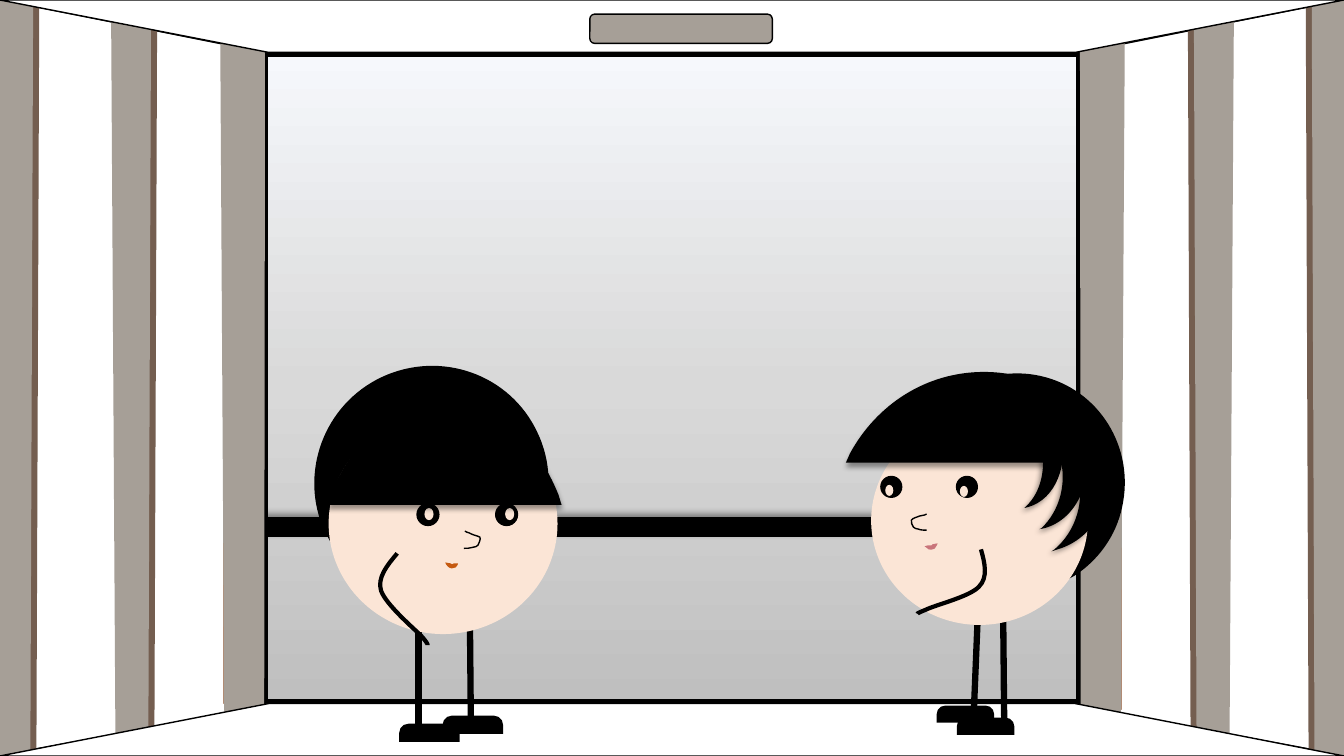
"""Build a cartoon slide of two round people waiting in a lift."""
from copy import deepcopy
from math import cos, radians, sin

from lxml.etree import SubElement
from pptx import Presentation
from pptx.dml.color import RGBColor
from pptx.enum.shapes import MSO_CONNECTOR, MSO_SHAPE
from pptx.oxml.ns import qn
from pptx.util import Inches, Pt

BLACK, WHITE, SKIN = "000000", "FFFFFF", "FBE5D6"
TAUPE, BROWN, TAN = "A69F97", "745E50", "B18B74"
STEEL = [(0, "F6F8FC"), (0.51, "D9D9D9"), (1, "BFBFBF")]
WIDTH, HEIGHT = 13.33, 7.5
MIRROR = 13.34
CURVE_STEPS = 20


def color(value):
    return RGBColor.from_string(value)


def rotate(x, y, degrees):
    angle = radians(degrees)
    return x * cos(angle) - y * sin(angle), x * sin(angle) + y * cos(angle)


def bounds(steps):
    """Return the top left and bottom right corners of lines and cubic curves."""
    points = [steps[0][0]]
    for step in steps[1:]:
        if len(step) == 1:
            points += step
            continue
        pairs = [points[-1]] + step
        for index in range(1, CURVE_STEPS + 1):
            t = index / CURVE_STEPS
            weights = ((1 - t) ** 3, 3 * t * (1 - t) ** 2, 3 * t * t * (1 - t), t ** 3)
            points.append(tuple(sum(w * pair[axis] for w, pair in zip(weights, pairs))
                                for axis in (0, 1)))
    return [tuple(int(pick(axis)) for axis in zip(*points)) for pick in (min, max)]


class Scene:
    """Draws styled elements on the current slide or group."""

    def __init__(self, page):
        self.page = page
        self.shapes = page.shapes

    def group(self):
        self.shapes = self.page.shapes.add_group_shape().shapes

    def ungroup(self):
        self.shapes = self.page.shapes

    def stroke(self, shape, line, width):
        if line is None:
            shape.line.fill.background()
            return
        shape.line.color.rgb = color(line)
        shape.line.width = Pt(width)

    def effects(self, shape, shadow):
        effects = SubElement(shape._element.spPr, qn("a:effectLst"))
        if shadow is None:
            return
        values = {"blurRad": Pt(4), "dist": Pt(3), "dir": shadow * 60000,
                  "algn": "ctr", "rotWithShape": 0}
        outer = SubElement(effects, qn("a:outerShdw"))
        for name, value in values.items():
            outer.set(name, str(value))
        tint = SubElement(outer, qn("a:srgbClr"), val=BLACK)
        SubElement(tint, qn("a:alpha"), val="40000")

    def paint(self, shape, fill, line, width, shadow):
        if fill is None:
            shape.fill.background()
        elif isinstance(fill, list):
            self.gradient(shape, fill)
        else:
            shape.fill.solid()
            shape.fill.fore_color.rgb = color(fill)
        self.stroke(shape, line, width)
        self.effects(shape, shadow)
        return shape

    def gradient(self, shape, stops):
        shape.fill.gradient()
        shape.fill.gradient_angle = 270
        holder = shape._element.spPr.find(".//" + qn("a:gsLst"))
        holder.append(deepcopy(holder[-1]))
        for stop, (position, value) in zip(shape.fill.gradient_stops, stops):
            stop.color.rgb = color(value)
            stop.position = position

    def preset(self, kind, box, fill, line=None, width=1):
        shape = self.shapes.add_shape(kind, *map(Inches, box))
        return self.paint(shape, fill, line, width, None)

    def line(self, start, end, width, shadow=None):
        connector = self.shapes.add_connector(
            MSO_CONNECTOR.STRAIGHT, *map(Inches, start + end))
        self.stroke(connector, BLACK, width)
        self.effects(connector, shadow)

    def outline(self, start, segments, fill=None, line=None, width=1, turn=0, shadow=None):
        """Draw lines (2 numbers) and curves (6 numbers) in a frame turned by some degrees."""
        steps = [[tuple(map(Inches, rotate(x, y, -turn))) for x, y in zip(step[::2], step[1::2])]
                 for step in [start] + segments]
        first, last = bounds(steps)
        builder = self.shapes.build_freeform(*first, scale=1.0)
        builder.add_line_segments([last], close=False)
        shape = builder.convert_to_shape()
        route = shape._element.spPr.find(".//" + qn("a:path"))
        for child in list(route):
            route.remove(child)
        for index, step in enumerate(steps):
            tag = "a:moveTo" if index == 0 else "a:lnTo" if len(step) == 1 else "a:cubicBezTo"
            command = SubElement(route, qn(tag))
            for x, y in step:
                SubElement(command, qn("a:pt"), x=str(x - first[0]), y=str(y - first[1]))
        if fill is not None:
            SubElement(route, qn("a:close"))
        middle = rotate(shape.left + shape.width / 2, shape.top + shape.height / 2, turn)
        frame = {"left": int(middle[0] - shape.width / 2),
                 "top": int(middle[1] - shape.height / 2), "rotation": turn}
        for name, value in frame.items():
            setattr(shape, name, value)
        self.paint(shape, fill, line, width, shadow)

    def polygon(self, points, fill, line=None, mirrored=False, shift=(0, 0)):
        moved = [(x + shift[0], y + shift[1]) for x, y in points]
        if mirrored:
            moved = [(MIRROR - x, y) for x, y in moved]
        self.outline(moved[0], moved[1:], fill, line)

    def panels(self, mirrored, drop):
        """Draw the striped panels of one side wall."""
        brown = [(-0.03, -0.16), (0.39, -0.21), (0.36, 7.76), (0.03, 8.02)]
        taupe = [(-0.07, -0.17), (0.33, -0.22), (0.3, 7.94), (-0.02, 8.21)]
        corner = [(2.18, -0.37), (2.63, -0.83), (2.62, 7.71), (2.23, 8.02)]
        self.group()
        left = MIRROR - 2.6 if mirrored else 2.22
        self.preset(MSO_SHAPE.RECTANGLE, (left, 0.53 + drop, 0.38, 6.45), WHITE, TAN)
        for index in range(2):
            shift = (1.17 * index, drop - 0.08 * index)
            for points, fill in ((brown, BROWN), (taupe, TAUPE)):
                self.polygon(points, fill, None, mirrored, shift)
            if index == 0:
                self.polygon(corner, TAUPE, None, mirrored, shift)
        self.ungroup()

    def person(self, hair, legs, shoes, shoe_size, face, eyes, eye_size, pupils, pupil_size,
               arm, nose, mouth, fringe, locks=()):
        self.group()
        self.outline(*hair[:2], fill=BLACK, turn=hair[2])
        self.line(*legs[0], 4.5)
        for corner in shoes:
            shoe = self.preset(MSO_SHAPE.ROUND_2_SAME_RECTANGLE, corner + shoe_size, BLACK)
            shoe.adjustments[0] = 0.5
        self.line(*legs[1], 4.5)
        rounds = [(face, SKIN)]
        rounds += [(corner + (eye_size, eye_size), BLACK) for corner in eyes]
        rounds += [(corner + pupil_size, SKIN) for corner in pupils]
        for box, fill in rounds:
            self.preset(MSO_SHAPE.OVAL, box, fill)
        self.outline(*arm[:2], line=BLACK, width=3, turn=arm[2])
        self.outline(*nose, line=BLACK)
        self.outline(*mouth[:2], fill=mouth[2], turn=mouth[3])
        self.outline(*fringe, fill=BLACK, shadow=90)
        for start, segments in locks:
            self.outline(start, segments, fill=BLACK, turn=343.6, shadow=135)
        self.ungroup()


RIGHT_PERSON = dict(
    hair=((10.32, 3.73), [(9.74, 3.6, 9.16, 3.98, 9.03, 4.57), (9.03, 4.6, 9.02, 4.64, 9.02, 4.68), (9.04, 4.67), (9.25, 4.56, 9.51, 4.52, 9.76, 4.57), (10.27, 4.69, 10.61, 5.14, 10.6, 5.65), (10.59, 5.75), (10.66, 5.71), (10.89, 5.56, 11.07, 5.32, 11.13, 5.03), (11.26, 4.44, 10.9, 3.86, 10.32, 3.73)], 12.3),
    legs=[((9.95, 6.14), (9.96, 7.16)), ((9.7, 6.05), (9.66, 7.03))],
    shoes=[(9.29, 7), (9.49, 7.12)], shoe_size=(0.57, 0.17),
    face=(8.64, 4.13, 2.15, 2.07),
    eyes=[(9.48, 4.72), (8.73, 4.72)], eye_size=0.22,
    pupils=[(9.52, 4.82), (8.78, 4.81)], pupil_size=(0.08, 0.11),
    arm=((9.73, 5.45), [(9.77, 5.59, 9.8, 5.73, 9.71, 5.82), (9.62, 5.92, 9.28, 6, 9.18, 6.05), (9.08, 6.09, 9.1, 6.09, 9.1, 6.09)], 14.8),
    nose=((9.19, 5.1), [(9.18, 5.1, 9.18, 5.1, 9.17, 5.11), (9.15, 5.11, 9.14, 5.12, 9.12, 5.12), (9.1, 5.13, 9.05, 5.14, 9.04, 5.16), (9.03, 5.18, 9.05, 5.21, 9.06, 5.23), (9.07, 5.24, 9.09, 5.25, 9.11, 5.25), (9.13, 5.26, 9.17, 5.26, 9.19, 5.26)]),
    mouth=((9.3, 5.39), [(9.29, 5.39, 9.26, 5.4, 9.25, 5.4), (9.24, 5.41), (9.23, 5.41), (9.22, 5.41, 9.18, 5.41, 9.17, 5.42), (9.17, 5.42, 9.2, 5.44, 9.21, 5.45), (9.22, 5.45, 9.25, 5.46, 9.25, 5.45), (9.26, 5.45, 9.28, 5.44, 9.28, 5.43), (9.29, 5.42, 9.3, 5.39, 9.3, 5.39)], "C9757B", 341.8),
    fringe=((9.76, 3.69), [(10.33, 3.69, 10.83, 4.02, 11.09, 4.5), (11.13, 4.59), (8.39, 4.59), (8.43, 4.5), (8.69, 4.02, 9.18, 3.69, 9.76, 3.69)]),
    locks=[
        ((10.07, 4.05), [(10, 4.07, 9.94, 4.1, 9.88, 4.14), (9.85, 4.17), (9.87, 4.16), (10.22, 4.1, 10.58, 4.32, 10.68, 4.68), (10.77, 4.97, 10.67, 5.27, 10.46, 5.45), (10.43, 5.47), (10.49, 5.45), (10.86, 5.34, 11.07, 4.94, 10.96, 4.55), (10.85, 4.17, 10.45, 3.94, 10.07, 4.05)]),
        ((9.97, 3.92), [(9.91, 3.93, 9.85, 3.96, 9.8, 4), (9.78, 4.02), (9.79, 4.01), (10.1, 3.96, 10.41, 4.18, 10.51, 4.52), (10.59, 4.79, 10.51, 5.07, 10.33, 5.24), (10.31, 5.25), (10.36, 5.24), (10.68, 5.15, 10.85, 4.77, 10.75, 4.41), (10.64, 4.04, 10.29, 3.82, 9.97, 3.92)]),
        ((9.83, 3.79), [(9.78, 3.8, 9.73, 3.83, 9.69, 3.86), (9.67, 3.88), (9.69, 3.87), (9.94, 3.83, 10.22, 4.04, 10.31, 4.36), (10.39, 4.62, 10.33, 4.88, 10.18, 5.02), (10.16, 5.04), (10.2, 5.03), (10.47, 4.95, 10.61, 4.61, 10.51, 4.26), (10.41, 3.92, 10.1, 3.71, 9.83, 3.79)])])

LEFT_PERSON = dict(
    hair=((3.79, 3.74), [(3.21, 4.01, 2.96, 4.7, 3.22, 5.27), (3.24, 5.31, 3.26, 5.34, 3.28, 5.38), (3.3, 5.36), (3.41, 5.12, 3.6, 4.92, 3.85, 4.81), (4.36, 4.57, 4.95, 4.73, 5.27, 5.16), (5.33, 5.25), (5.37, 5.17), (5.47, 4.89, 5.47, 4.58, 5.33, 4.29), (5.06, 3.71, 4.37, 3.47, 3.79, 3.74)], 334.9),
    legs=[((4.66, 6.06), (4.67, 7.14)), ((4.15, 6.06), (4.15, 7.28))],
    shoes=[(3.96, 7.18), (4.39, 7.1)], shoe_size=(0.6, 0.18),
    face=(3.26, 4.1, 2.27, 2.19),
    eyes=[(4.91, 4.99), (4.13, 4.99)], eye_size=0.23,
    pupils=[(5.01, 5.04), (4.21, 5.04)], pupil_size=(0.09, 0.12),
    arm=((3.94, 5.49), [(3.84, 5.61, 3.74, 5.73, 3.78, 5.86), (3.83, 6, 4.1, 6.23, 4.18, 6.31), (4.26, 6.4, 4.24, 6.4, 4.24, 6.4)], 11.1),
    nose=((4.61, 5.27), [(4.61, 5.27, 4.62, 5.27, 4.63, 5.28), (4.64, 5.28, 4.66, 5.29, 4.68, 5.3), (4.7, 5.31, 4.75, 5.32, 4.76, 5.33), (4.77, 5.35, 4.75, 5.39, 4.74, 5.41), (4.73, 5.42, 4.71, 5.43, 4.69, 5.43), (4.66, 5.44, 4.63, 5.44, 4.6, 5.44)]),
    mouth=((4.54, 5.59), [(4.5, 5.59), (4.49, 5.59, 4.49, 5.6, 4.48, 5.6), (4.48, 5.6, 4.49, 5.6, 4.47, 5.59), (4.46, 5.59, 4.42, 5.58, 4.42, 5.58), (4.41, 5.58, 4.43, 5.61, 4.44, 5.62), (4.45, 5.63, 4.47, 5.64, 4.48, 5.64), (4.49, 5.64, 4.51, 5.63, 4.52, 5.63), (4.53, 5.62, 4.55, 5.59, 4.54, 5.59)], "C55A11", 0),
    fringe=((4.41, 3.98), [(4.9, 3.98, 5.32, 4.36, 5.54, 4.91), (5.57, 5.01), (3.24, 5.01), (3.28, 4.91), (3.5, 4.36, 3.92, 3.98, 4.41, 3.98)]))


def main():
    deck = Presentation()
    deck.slide_width, deck.slide_height = Inches(WIDTH), Inches(HEIGHT)
    scene = Scene(deck.slides.add_slide(deck.slide_layouts[6]))
    wall = [(2.62, 0.52), (0.02, 0), (-0.02, 7.5), (2.6, 7.02)]
    for mirrored in (True, False):
        scene.polygon(wall, WHITE, BLACK, mirrored)
    scene.preset(MSO_SHAPE.RECTANGLE, (2.62, 0.52, 8.09, 6.46), STEEL, BLACK, 6)
    scene.line((2.62, 5.23), (10.71, 5.23), 14, shadow=270)
    for mirrored, drop in ((False, 0), (True, 0.06)):
        scene.panels(mirrored, drop)
    for top, flip in ((0, "0"), (6.98, "1")):
        slab = scene.preset(MSO_SHAPE.FLOWCHART_MANUAL_OPERATION, (0, top, WIDTH, 0.52), WHITE, BLACK)
        slab._element.spPr.xfrm.set("flipV", flip)
    scene.preset(MSO_SHAPE.ROUNDED_RECTANGLE, (5.85, 0.14, 1.81, 0.29), TAUPE, BLACK)
    for features in (RIGHT_PERSON, LEFT_PERSON):
        scene.person(**features)
    deck.save("out.pptx")


if __name__ == "__main__":
    main()
